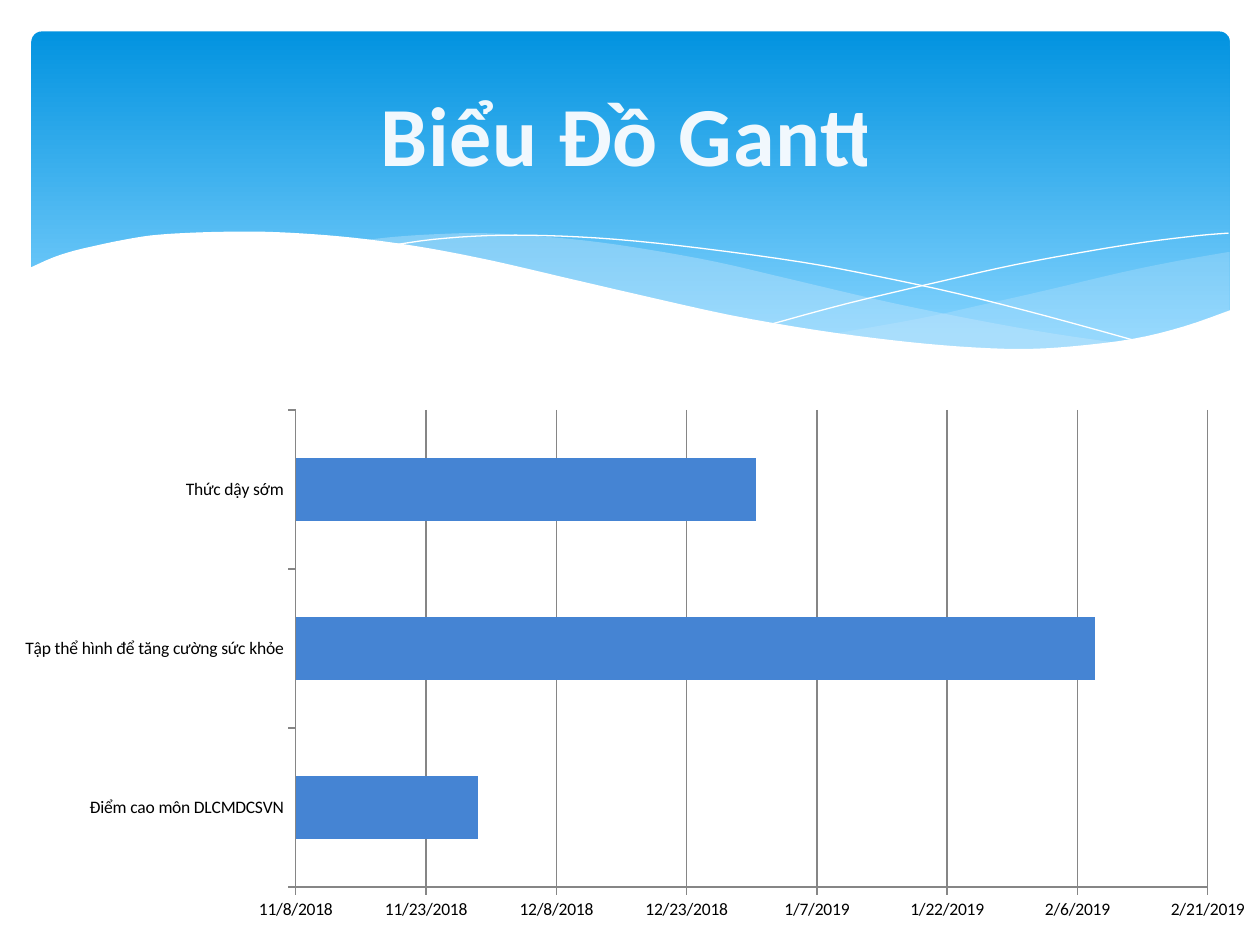
from dataclasses import dataclass
from itertools import chain
from typing import Optional

from lxml import etree
from pptx import Presentation
from pptx.chart.data import CategoryChartData
from pptx.dml.color import RGBColor
from pptx.enum.chart import XL_CHART_TYPE, XL_TICK_MARK
from pptx.enum.shapes import MSO_SHAPE
from pptx.enum.text import MSO_ANCHOR, PP_ALIGN
from pptx.oxml import parse_xml
from pptx.oxml.ns import nsdecls, qn
from pptx.util import Emu, Pt

PX = 9144
FONT = "Calibri"
WHITE = RGBColor(0xFF, 0xFF, 0xFF)
BLACK = RGBColor(0x00, 0x00, 0x00)
SKY_TOP = RGBColor(0x02, 0x93, 0xE0)
SKY_BOTTOM = RGBColor(0x83, 0xD3, 0xFE)
MIST = RGBColor(0xC6, 0xE7, 0xFC)
TITLE = RGBColor(0xFC, 0xFD, 0xFF)
BAR = RGBColor(0x45, 0x84, 0xD3)
AXIS = RGBColor(0x86, 0x86, 0x86)
START_DAY = 43412
DAYS_PER_TICK = 15
TICK_COUNT = 7

Point = tuple[float, float]


@dataclass(frozen=True)
class Wave:
    curves: tuple[tuple[Point, ...], ...]
    fill: Optional[RGBColor] = None
    opacity: int = 100


@dataclass(frozen=True)
class Task:
    name: str
    days: int


WAVES = (
    Wave((
        ((975, 200), (935, 207), (891, 216), (832, 230), (779, 242), (729, 253), (661, 265)),
        ((661, 265), (705, 271), (745, 275), (792, 277), (835, 277), (881, 273),
         (921, 265), (949, 257), (976, 247)),
        ((976, 247), (976, 200)),
    ), MIST, 29),
    Wave((
        ((893, 273), (837, 265), (775, 254), (706, 240), (629, 222), (569, 208),
         (514, 198), (465, 191), (420, 187), (380, 185), (344, 186), (313, 188), (286, 191)),
        ((286, 191), (342, 199), (404, 211), (449, 222), (530, 240), (601, 255),
         (665, 266), (722, 274), (773, 277), (818, 278), (857, 277), (893, 273)),
    ), MIST, 40),
    Wave((
        ((309, 195), (344, 190), (387, 187), (433, 187), (489, 190), (556, 197),
         (636, 208), (695, 219), (760, 233), (831, 251), (907, 272)),
    )),
    Wave((
        ((613, 257), (672, 241), (748, 223), (806, 210), (866, 199), (910, 192),
         (951, 187), (975, 185)),
    )),
    Wave((
        ((977, 246), (940, 259), (899, 269), (850, 275), (809, 277), (761, 275),
         (708, 270), (648, 262), (579, 250), (503, 233), (447, 220), (391, 207),
         (340, 197), (292, 190), (250, 186), (211, 184), (177, 184), (146, 185),
         (119, 187), (95, 191), (76, 195), (59, 199), (46, 203), (36, 207), (23, 213)),
        ((23, 213), (23, 329)),
        ((23, 329), (977, 329)),
        ((977, 329), (977, 246)),
    ), WHITE),
)

TASKS = (
    Task("Điểm cao môn DLCMDCSVN", 21),
    Task("Tập thể hình để tăng cường sức khỏe", 92),
    Task("Thức dậy sớm", 53),
)


def box(left: int, top: int, width: int, height: int) -> tuple[Emu, ...]:
    return tuple(Emu(length * PX) for length in (left, top, width, height))


def smooth(knots: tuple[Point, ...], steps: int = 4) -> list[Point]:
    if len(knots) == 2:
        return list(knots)
    padded = (knots[0], *knots, knots[-1])
    points = [knots[0]]
    for a, b, c, d in zip(padded, padded[1:], padded[2:], padded[3:]):
        for step in range(1, steps + 1):
            t = step / steps
            points.append(tuple(
                (2 * q + (r - p) * t + (2 * p - 5 * q + 4 * r - s) * t ** 2
                 + (3 * q - p - 3 * r + s) * t ** 3) / 2
                for p, q, r, s in zip(a, b, c, d)
            ))
    return points


def set_opacity(fill, percent: int) -> None:
    color = fill.find(f".//{qn('a:srgbClr')}")
    etree.SubElement(color, qn("a:alpha")).set("val", str(percent * 1000))


def draw_sky(page) -> None:
    sky = page.shapes.add_shape(MSO_SHAPE.ROUNDED_RECTANGLE, *box(25, 25, 951, 270))
    sky.shadow.inherit = False
    sky.adjustments[0] = 0.03
    sky.line.fill.background()
    sky.fill.gradient()
    sky.fill.gradient_angle = 270
    for stop, color, position in zip(sky.fill.gradient_stops, (SKY_TOP, SKY_BOTTOM), (0, 0.9)):
        stop.color.rgb = color
        stop.position = position


def draw_wave(page, wave: Wave) -> None:
    points = [(x * PX, y * PX) for x, y in chain.from_iterable(map(smooth, wave.curves))]
    builder = page.shapes.build_freeform(*points[0])
    builder.add_line_segments(points[1:], close=wave.fill is not None)
    shape = builder.convert_to_shape()
    shape.shadow.inherit = False
    if wave.fill is None:
        shape.fill.background()
        shape.line.color.rgb = WHITE
        shape.line.width = Pt(0)
        return
    shape.line.fill.background()
    shape.fill.solid()
    shape.fill.fore_color.rgb = wave.fill
    if wave.opacity < 100:
        set_opacity(shape._element.spPr.find(qn("a:solidFill")), wave.opacity)


def style_axis(axis) -> None:
    axis.major_tick_mark = XL_TICK_MARK.OUTSIDE
    axis.minor_tick_mark = XL_TICK_MARK.NONE
    axis.format.line.color.rgb = AXIS
    axis.format.line.width = Pt(0.75)


def draw_gantt(page, tasks: tuple[Task, ...]) -> None:
    data = CategoryChartData()
    data.categories = [task.name for task in tasks]
    data.add_series("Series 1", [START_DAY] * len(tasks))
    data.add_series("Series 2", [task.days for task in tasks])
    chart = page.shapes.add_chart(
        XL_CHART_TYPE.BAR_STACKED, *box(0, 317, 1008, 421), data).chart
    chart.has_legend = False
    chart.has_title = False
    chart.font.name = FONT
    chart.font.size = Pt(10)
    chart.font.color.rgb = BLACK
    plot = chart.plots[0]
    plot.gap_width = 150
    plot.overlap = 100
    plot.vary_by_categories = False
    offset, duration = plot.series
    offset.format.fill.background()
    offset.format.line.fill.background()
    duration.format.fill.solid()
    duration.format.fill.fore_color.rgb = BAR
    style_axis(chart.category_axis)
    dates = chart.value_axis
    style_axis(dates)
    dates.minimum_scale = START_DAY
    dates.maximum_scale = START_DAY + TICK_COUNT * DAYS_PER_TICK
    dates.major_unit = DAYS_PER_TICK
    dates.has_major_gridlines = True
    dates.major_gridlines.format.line.color.rgb = AXIS
    dates.major_gridlines.format.line.width = Pt(0.75)
    dates.tick_labels.number_format = "m/d/yyyy"
    dates.tick_labels.number_format_is_linked = False


def write_title(page, text: str) -> None:
    title = page.shapes.title
    title.left, title.top, title.width, title.height = box(50, 37, 900, 137)
    page.shapes._spTree.append(title._element)
    frame = title.text_frame
    frame.word_wrap = True
    frame.vertical_anchor = MSO_ANCHOR.MIDDLE
    para = frame.paragraphs[0]
    para.alignment = PP_ALIGN.CENTER
    span = para.add_run()
    span.text = text
    span.font.name = FONT
    span.font.size = Pt(48)
    span.font.bold = True
    span.font.color.rgb = TITLE
    properties = span._r.get_or_add_rPr()
    properties.set("spc", "50")
    set_opacity(properties.find(qn("a:solidFill")), 95)
    properties.insert(0, parse_xml(
        f'<a:ln {nsdecls("a")} w="13500"><a:solidFill><a:srgbClr val="0A2533">'
        '<a:alpha val="6000"/></a:srgbClr></a:solidFill></a:ln>'))


def main() -> None:
    deck = Presentation()
    deck.slide_width, deck.slide_height = Emu(1000 * PX), Emu(750 * PX)
    page = deck.slides.add_slide(deck.slide_layouts[5])
    draw_sky(page)
    for wave in WAVES:
        draw_wave(page, wave)
    draw_gantt(page, TASKS)
    write_title(page, "Biểu Đồ Gantt")
    deck.save("out.pptx")


if __name__ == "__main__":
    main()
